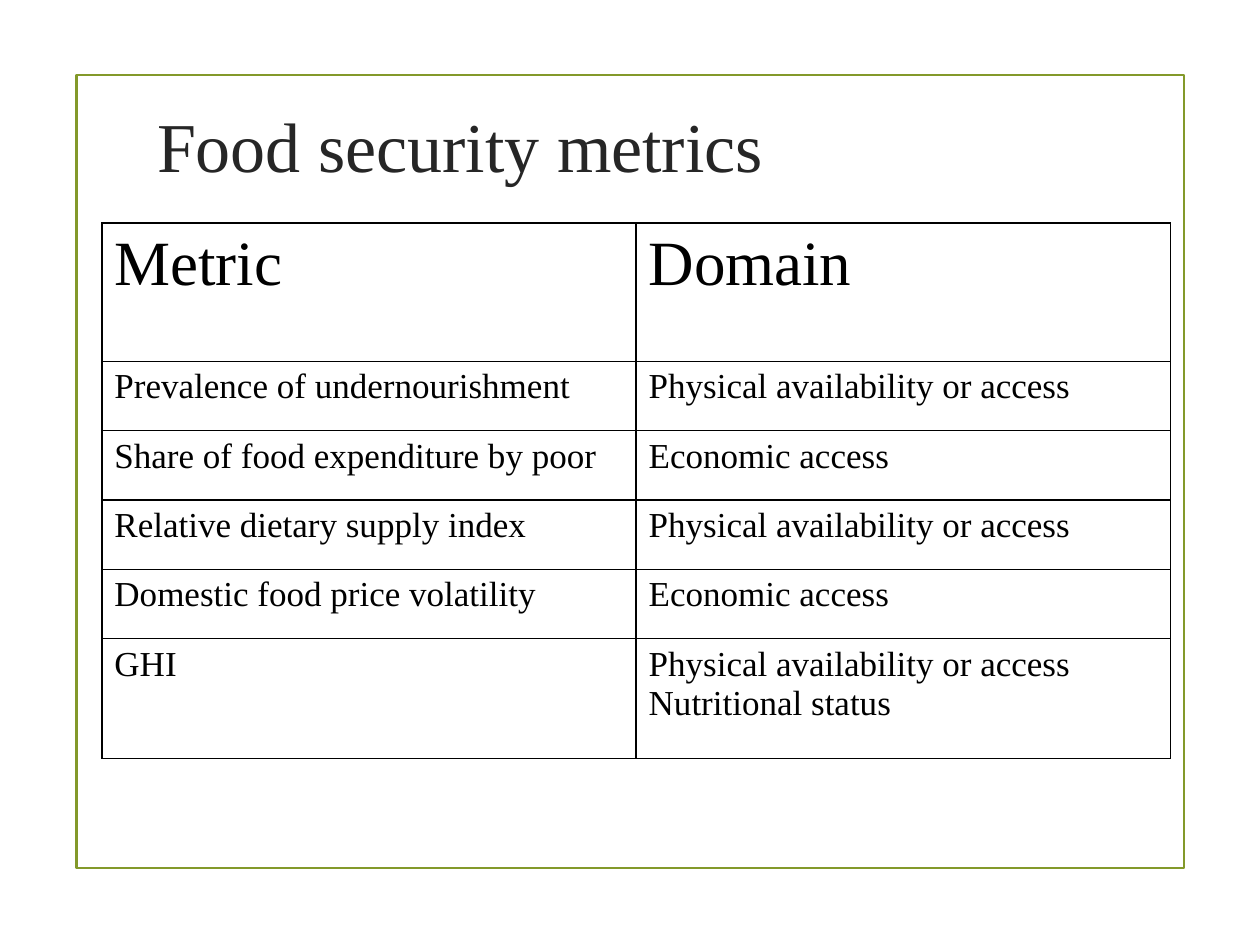
"""Build the food security metrics slide."""
from lxml import etree
from pptx import Presentation
from pptx.dml.color import RGBColor
from pptx.enum.shapes import MSO_SHAPE
from pptx.enum.text import MSO_ANCHOR, MSO_AUTO_SIZE, PP_ALIGN
from pptx.oxml.ns import qn
from pptx.util import Pt

RECT = MSO_SHAPE.RECTANGLE
MIDDLE = MSO_ANCHOR.MIDDLE
NO_FIT = MSO_AUTO_SIZE.NONE
CENTER = PP_ALIGN.CENTER

GREEN = RGBColor(0x83, 0x99, 0x2A)
DARK = RGBColor(0x26, 0x26, 0x26)
BLACK = RGBColor(0, 0, 0)

PHYSICAL = "Physical availability or access"
ECONOMIC = "Economic access"
ROWS = [
    ("Metric", "Domain"),
    ("Prevalence of undernourishment", PHYSICAL),
    ("Share of food expenditure by poor", ECONOMIC),
    ("Relative dietary supply index", PHYSICAL),
    ("Domestic food price volatility", ECONOMIC),
    ("GHI", PHYSICAL + "\nNutritional status"),
]
ROW_HEIGHTS = [79.2] + [39.6] * 4 + [68.4]


class Deck:
    font = "Times New Roman"

    def __init__(self, prs):
        self.s = prs.slides.add_slide(prs.slide_layouts[5])

    def style(self, tf, size, color):
        for p in tf.paragraphs:
            p.font.name = self.font
            p.font.size = Pt(size)
            p.font.color.rgb = color

    def frame(self, x, y, w, h):
        sp = self.s.shapes.add_shape(RECT, Pt(x), Pt(y), Pt(w), Pt(h))
        sp.shadow.inherit = False
        sp.fill.background()
        sp.line.color.rgb = GREEN
        sp.line.width = Pt(1.25)

    def title(self, text, x, y, w, h):
        sp = self.s.shapes.title
        sp.left, sp.top, sp.width, sp.height = Pt(x), Pt(y), Pt(w), Pt(h)
        tf = sp.text_frame
        tf.text = text
        tf.auto_size = NO_FIT
        tf.vertical_anchor = MIDDLE
        tf.paragraphs[0].alignment = CENTER
        self.style(tf, 40, DARK)

    def border(self, cell):
        tc_pr = cell._tc.get_or_add_tcPr()
        for i, side in enumerate(("lnL", "lnR", "lnT", "lnB")):
            ln = etree.Element(qn(f"a:{side}"), w=str(Pt(1)))
            fill = etree.SubElement(ln, qn("a:solidFill"))
            etree.SubElement(fill, qn("a:srgbClr"), val=str(BLACK))
            tc_pr.insert(i, ln)

    def table(self, rows, heights, x, y, w):
        n = len(rows[0])
        sp = self.s.shapes.add_table(len(rows), n, Pt(x), Pt(y), Pt(w), Pt(sum(heights)))
        table = sp.table
        table.first_row = table.horz_banding = False
        for i, (texts, height) in enumerate(zip(rows, heights)):
            table.rows[i].height = Pt(height)
            for j, text in enumerate(texts):
                cell = table.cell(i, j)
                cell.text = text
                cell.fill.background()
                self.border(cell)
                self.style(cell.text_frame, 20 if i else 36, BLACK)


def main():
    prs = Presentation()
    prs.slide_width, prs.slide_height = Pt(720), Pt(540)
    deck = Deck(prs)
    deck.frame(43.7, 42.7, 633, 453.3)
    deck.title("Food security metrics ", 0, 31, 535.7, 103)
    deck.table(ROWS, ROW_HEIGHTS, 58.2, 127.3, 610.6)
    prs.save("out.pptx")


if __name__ == "__main__":
    main()
